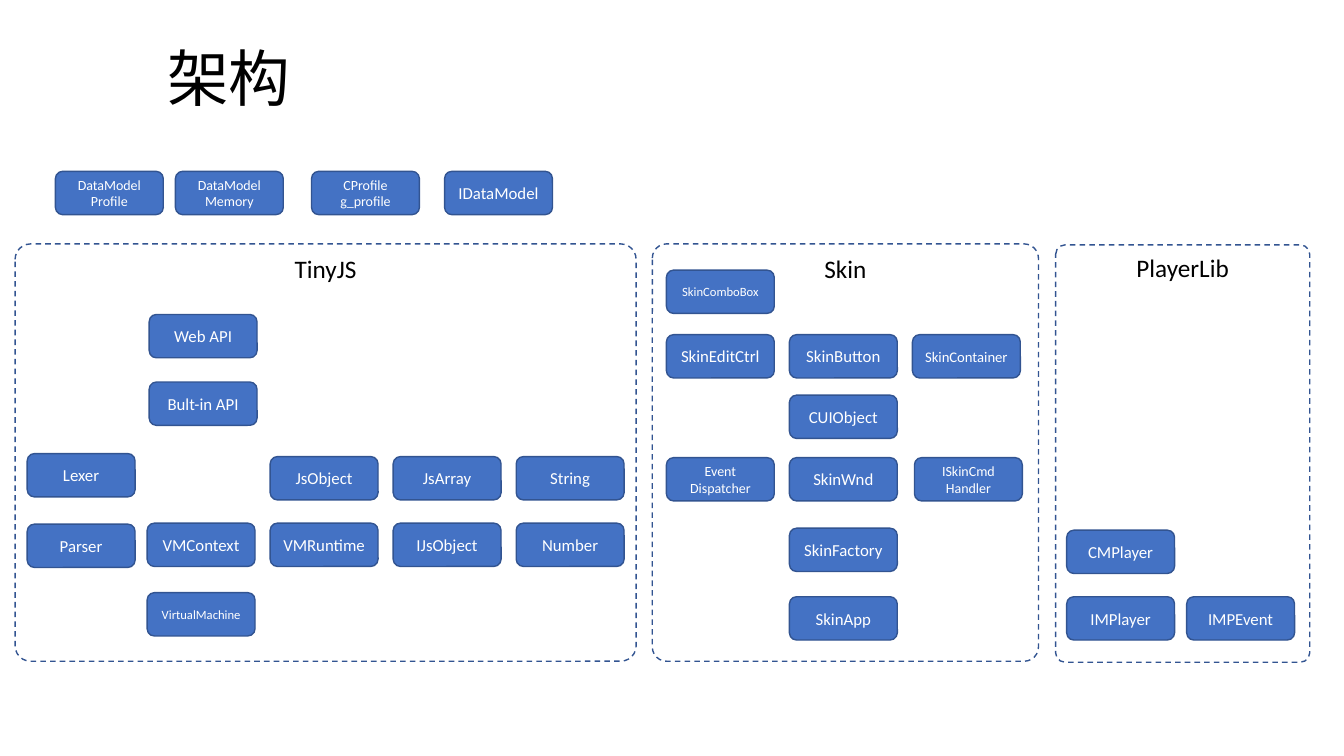
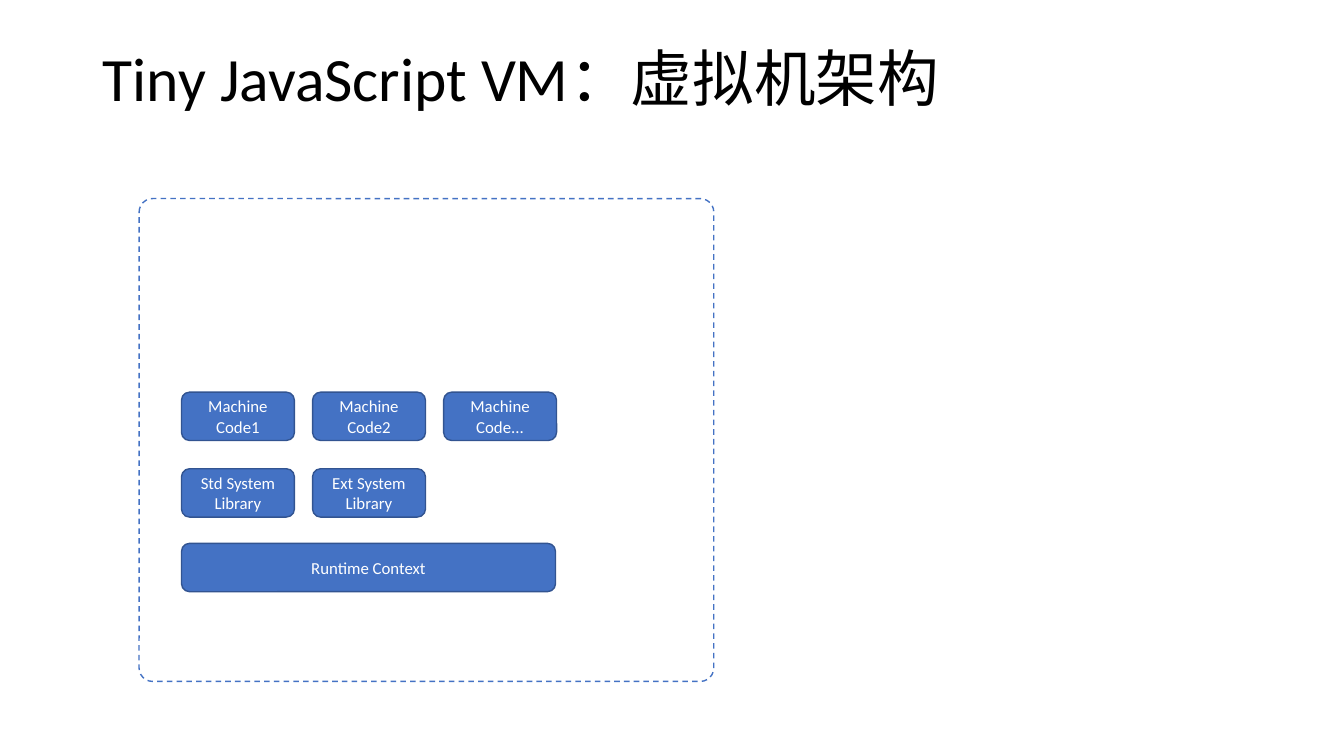
"""Build two slides that show the layers of a script engine."""
from dataclasses import dataclass

from pptx import Presentation
from pptx.dml.color import RGBColor
from pptx.enum.dml import MSO_LINE
from pptx.enum.shapes import MSO_SHAPE
from pptx.enum.text import MSO_ANCHOR, MSO_AUTO_SIZE, PP_ALIGN
from pptx.util import Inches, Pt

ROUND = MSO_SHAPE.ROUNDED_RECTANGLE
DASH = MSO_LINE.DASH
TOP, MIDDLE = MSO_ANCHOR.TOP, MSO_ANCHOR.MIDDLE
LEFT, CENTER = PP_ALIGN.LEFT, PP_ALIGN.CENTER
NO_FIT = MSO_AUTO_SIZE.NONE

FONT = "Calibri"
BLUE, NAVY, WHITE, BLACK = "4472C4", "325491", "FFFFFF", "000000"
PITCH = 1.22


@dataclass(frozen=True)
class Frame:
    """A dashed group outline with an optional heading."""

    left: float
    top: float
    width: float
    height: float
    text: str = ""
    edge: str = NAVY
    bend: float = 0.037


@dataclass(frozen=True)
class Series:
    """Equal boxes stepped by dx and dy."""

    texts: tuple[str, ...]
    left: float
    top: float
    dx: float = 0
    dy: float = 0
    size: float = 12
    width: float = 1.07
    height: float = 0.43


@dataclass(frozen=True)
class Page:
    """One slide's title, groups and boxes."""

    title: str
    left: float
    frames: tuple[Frame, ...]
    boxes: tuple[Series, ...]


PAGES = (
    Page(
        "架构", 1.56,
        (
            Frame(0.15, 2.42, 6.16, 4.14, "TinyJS"),
            Frame(6.47, 2.42, 3.83, 4.14, "Skin"),
            Frame(10.47, 2.43, 2.52, 4.14, "PlayerLib"),
        ),
        (
            Series(("DataModel\nProfile", "DataModel\nMemory"), 0.55, 1.7, dx=1.19, size=10),
            Series(("CProfile\ng_profile",), 3.09, 1.7, size=10),
            Series(("IDataModel",), 4.41, 1.7),
            Series(("Web API", "Bult-in API"), 1.48, 3.12, dy=0.67),
            Series(("Lexer", "Parser"), 0.27, 4.5, dy=0.7),
            Series(("JsObject", "JsArray", "String"), 2.68, 4.53, dx=PITCH),
            Series(("VMContext", "VMRuntime", "IJsObject", "Number"), 1.46, 5.19, dx=PITCH),
            Series(("VirtualMachine",), 1.46, 5.88, size=9),
            Series(("SkinComboBox",), 6.61, 2.68, size=9),
            Series(("SkinEditCtrl", "SkinButton"), 6.61, 3.32, dx=PITCH),
            Series(("SkinContainer",), 9.05, 3.32, size=10.5),
            Series(("CUIObject", "SkinWnd"), 7.83, 3.92, dy=0.62),
            Series(("Event\vDispatcher", "ISkinCmd\nHandler"), 6.61, 4.54, dx=2.46, size=10),
            Series(("SkinFactory", "SkinApp"), 7.83, 5.24, dy=0.68),
            Series(("CMPlayer",), 10.58, 5.26),
            Series(("IMPlayer", "IMPEvent"), 10.58, 5.92, dx=1.19),
        ),
    ),
    Page(
        "Tiny JavaScript VM：虚拟机架构", 0.92,
        (Frame(1.38, 1.97, 5.7, 4.79, edge=BLUE, bend=0.028),),
        (
            Series(("Machine\nCode1", "Machine\nCode2", "Machine\nCode..."),
                   1.8, 3.89, dx=1.3, width=1.12, height=0.48),
            Series(("Std System Library", "Ext System Library"),
                   1.8, 4.65, dx=1.3, width=1.12, height=0.48),
            Series(("Runtime Context",), 1.8, 5.39, width=3.71, height=0.48),
        ),
    ),
)


def paint(color: str) -> RGBColor:
    """Turn a hex string into a colour."""
    return RGBColor.from_string(color)


def write(shape, text: str, *, size: float, color: str = WHITE,
          align=CENTER, anchor=MIDDLE, space: float = 1) -> None:
    """Set a shape's text and its format."""
    frame = shape.text_frame
    frame.word_wrap = True
    frame.auto_size = NO_FIT
    frame.vertical_anchor = anchor
    frame.text = text
    for para in frame.paragraphs:
        para.alignment = align
        para.line_spacing = space
        for run in para.runs:
            run.font.name = FONT
            run.font.size = Pt(size)
            run.font.color.rgb = paint(color)


def outline(slide, left: float, top: float, width: float, height: float, edge: str):
    """Add a rounded shape with a thin line and no shadow."""
    shape = slide.shapes.add_shape(
        ROUND, Inches(left), Inches(top), Inches(width), Inches(height))
    shape.shadow.inherit = False
    shape.line.color.rgb = paint(edge)
    shape.line.width = Pt(1)
    return shape


def draw_frame(slide, frame: Frame) -> None:
    """Draw a dashed group outline."""
    shape = outline(slide, frame.left, frame.top, frame.width, frame.height, frame.edge)
    shape.adjustments[0] = frame.bend
    shape.fill.background()
    shape.line.dash_style = DASH
    if frame.text:
        write(shape, frame.text, size=18, color=BLACK, anchor=TOP)


def draw_boxes(slide, row: Series) -> None:
    """Draw the filled boxes of one series."""
    for step, text in enumerate(row.texts):
        shape = outline(slide, row.left + step * row.dx, row.top + step * row.dy,
                        row.width, row.height, NAVY)
        shape.fill.solid()
        shape.fill.fore_color.rgb = paint(BLUE)
        write(shape, text, size=row.size)


def draw_title(slide, text: str, left: float) -> None:
    """Place and format the title."""
    title = slide.shapes.title
    title.left, title.top = Inches(left), Inches(0.4)
    title.width, title.height = Inches(11.5), Inches(0.81)
    write(title, text, size=44, color=BLACK, align=LEFT, space=0.9)


def main() -> None:
    """Build and save the deck."""
    deck = Presentation()
    deck.slide_width, deck.slide_height = Inches(13.33), Inches(7.5)
    for page in PAGES:
        slide = deck.slides.add_slide(deck.slide_layouts.get_by_name("Title Only"))
        draw_title(slide, page.title, page.left)
        for frame in page.frames:
            draw_frame(slide, frame)
        for row in page.boxes:
            draw_boxes(slide, row)
    deck.save("out.pptx")


if __name__ == "__main__":
    main()
